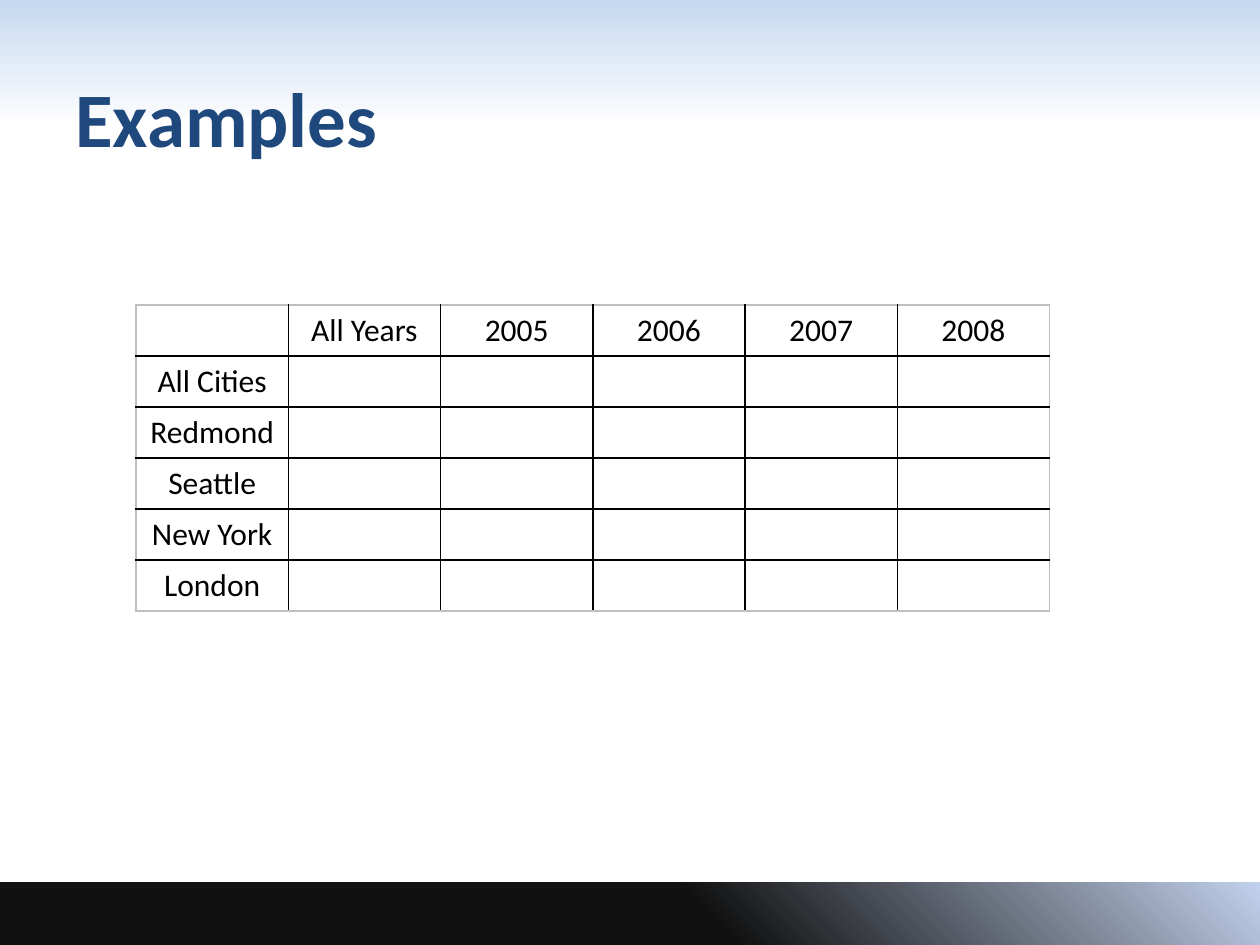
"""Build the Examples slide with an empty city-by-year table."""
from lxml.etree import SubElement
from pptx import Presentation
from pptx.dml.color import RGBColor
from pptx.enum.shapes import MSO_SHAPE as SHAPE
from pptx.enum.text import MSO_ANCHOR as ANCHOR, PP_ALIGN as ALIGN
from pptx.oxml.ns import qn
from pptx.util import Inches, Pt


def color(value):
    return RGBColor.from_string(value)


def set_border(cell, side, value):
    ln = SubElement(cell._tc.get_or_add_tcPr(), qn(f"a:ln{side}"), w=str(Pt(1)))
    fill = SubElement(ln, qn("a:solidFill"))
    SubElement(fill, qn("a:srgbClr"), val=value)


prs = Presentation()
prs.slide_width, prs.slide_height = Inches(10), Inches(7.5)
s = prs.slides.add_slide(prs.slide_layouts[6])

bands = [
    (0, 0.94, 270, [(0, "C6D9F1"), (1, "FAFBFD")]),
    (7, 0.51, 45, [(0.56, "111111"), (1, "C2D1ED")]),
]
for top, height, angle, stops in bands:
    sp = s.shapes.add_shape(SHAPE.RECTANGLE, 0, Inches(top), Inches(10), Inches(height))
    sp.shadow.inherit = False
    sp.line.fill.background()
    sp.fill.gradient()
    sp.fill.gradient_angle = angle
    for stop, (position, value) in zip(sp.fill.gradient_stops, stops):
        stop.position = position
        stop.color.rgb = color(value)

sp = s.shapes.add_textbox(Inches(0.5), Inches(0.3), Inches(9), Inches(1.25))
tf = sp.text_frame
tf.word_wrap = True
tf.vertical_anchor = ANCHOR.MIDDLE
r = tf.paragraphs[0].add_run()
r.text = "Examples"
for name, value in {"name": "Calibri", "size": Pt(44), "bold": True}.items():
    setattr(r.font, name, value)
r.font.color.rgb = color("1F497D")

years = ["All Years", "2005", "2006", "2007", "2008"]
cities = ["All Cities", "Redmond", "Seattle", "New York", "London"]
rows = [["", *years]] + [[city] + [""] * len(years) for city in cities]
n_rows, n_cols = len(rows), len(rows[0])
table = s.shapes.add_table(
    n_rows, n_cols, Inches(1.08), Inches(2.42), Inches(7.25), Inches(2.43)
).table
table.first_row = table.horz_banding = False

for i, row in enumerate(rows):
    for j, text in enumerate(row):
        cell = table.cell(i, j)
        edges = {"L": j == 0, "R": j == n_cols - 1, "T": i == 0, "B": i == n_rows - 1}
        for side, outer in edges.items():
            set_border(cell, side, "BFBFBF" if outer else "000000")
        cell.fill.background()
        p = cell.text_frame.paragraphs[0]
        p.alignment = ALIGN.CENTER
        if text:
            r = p.add_run()
            r.text = text
            for name, value in {"name": "Calibri", "size": Pt(18)}.items():
                setattr(r.font, name, value)
            r.font.color.rgb = color("000000")

prs.save("out.pptx")
